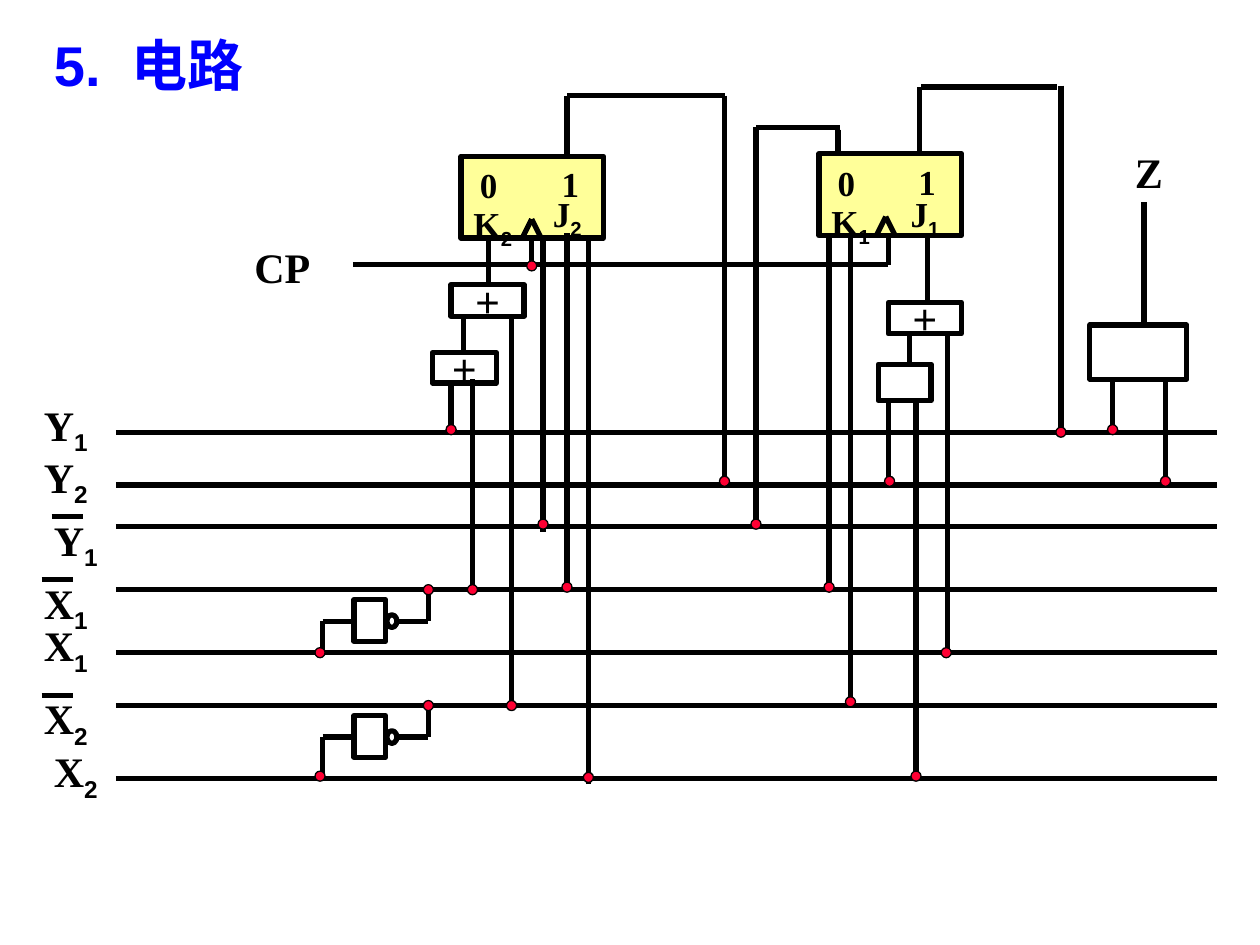
from dataclasses import dataclass

from lxml import etree
from pptx import Presentation
from pptx import util as u
from pptx.dml.color import RGBColor
from pptx.enum import shapes, text
from pptx.oxml import ns

COLORS = {"ink": "000000", "title": "0000FF", "flip_flop": "FFFF99", "dot": "FF0033"}
SERIF, SANS = "Times New Roman", "Arial"
DOT_SIZE = 0.08
BUS_LEFT, BUS_RIGHT = 0.92, 9.66


@dataclass
class Wire:
    x1: float
    y1: float
    x2: float
    y2: float


@dataclass
class Block:
    left: float
    top: float
    width: float
    height: float
    sign: str = ""
    fill: str = ""
    kind: shapes.MSO_SHAPE = shapes.MSO_SHAPE.RECTANGLE
    weight: float = 3


@dataclass
class Label:
    left: float
    top: float
    words: str
    sub: str = ""
    size: int = 24
    barred: bool = False


@dataclass
class FlipFlop:
    left: float
    top: float
    index: str
    clock: float
    one: float
    j_left: float


def color(name: str) -> RGBColor:
    return RGBColor.from_string(COLORS[name])


def add_span(para, words: str, formats: dict, tint: str = "ink", **extras):
    span = para.add_run()
    span.text = words
    for name, value in formats.items():
        setattr(span.font, name, value)
    span.font.color.rgb = color(tint)
    for name, value in extras.items():
        span._r.get_or_add_rPr().set(name, value)


def add_box(page, left: float, top: float, width: float, height: float):
    box = page.shapes.add_textbox(*map(u.Inches, (left, top, width, height)))
    for name, value in {"word_wrap": True, "margin_top": u.Inches(0.07)}.items():
        setattr(box.text_frame, name, value)
    return box.text_frame.paragraphs[0]


def draw_wire(page, wire: Wire):
    ends = map(u.Inches, (wire.x1, wire.y1, wire.x2, wire.y2))
    line = page.shapes.add_connector(shapes.MSO_CONNECTOR.STRAIGHT, *ends)
    line.line.width = u.Pt(3)
    line.line.color.rgb = color("ink")
    etree.SubElement(line._element.spPr, ns.qn("a:effectLst"))


def draw_block(page, block: Block):
    place = map(u.Inches, (block.left, block.top, block.width, block.height))
    shape = page.shapes.add_shape(block.kind, *place)
    shape.shadow.inherit = False
    if block.fill:
        shape.fill.solid()
        shape.fill.fore_color.rgb = color(block.fill)
    else:
        shape.fill.background()
    shape.line.width = u.Pt(block.weight)
    shape.line.color.rgb = color("ink")
    if block.sign:
        frame = shape.text_frame
        for name, value in {"word_wrap": False, "vertical_anchor": text.MSO_ANCHOR.MIDDLE}.items():
            setattr(frame, name, value)
        para = frame.paragraphs[0]
        para.alignment = text.PP_ALIGN.CENTER
        add_span(para, block.sign, {"name": SANS, "size": u.Pt(24)})


def draw_label(page, label: Label):
    height = 0.5 if label.size == 24 else 0.43
    para = add_box(page, label.left, label.top, 0.83, height)
    formats = {"name": SERIF, "size": u.Pt(label.size), "bold": True}
    add_span(para, label.words, formats)
    if label.sub:
        add_span(para, label.sub, formats | {"name": SANS}, baseline="-25000")
    if label.barred:
        left, y = label.left + 0.08, label.top + 0.09
        draw_wire(page, Wire(left, y, left + 0.25, y))


def draw_dot(page, x: float, y: float):
    half = DOT_SIZE / 2
    draw_block(page, Block(x - half, y - half, DOT_SIZE, DOT_SIZE, fill="dot",
                           kind=shapes.MSO_SHAPE.OVAL, weight=0.75))


def draw_flip_flop(page, part: FlipFlop):
    draw_block(page, Block(part.left, part.top, 1.13, 0.65, fill="flip_flop"))
    tip = part.top + 0.5
    for side in (-0.07, 0.07):
        draw_wire(page, Wire(part.clock, tip, part.clock + side, tip + 0.14))
    for label in (
        Label(part.left + 0.05, part.top - 0.01, "0", size=20),
        Label(part.one, part.top - 0.02, "1", size=20),
        Label(part.j_left, 1.46, "J", part.index, 20),
        Label(part.left, part.top + 0.3, "K", part.index, 20),
    ):
        draw_label(page, label)


def draw_inverter(page, y: float, low: float, high: float):
    draw_block(page, Block(2.81, y - 0.17, 0.25, 0.33))
    draw_block(page, Block(3.07, y - 0.05, 0.08, 0.1, kind=shapes.MSO_SHAPE.OVAL))
    for wire in (Wire(3.15, y, 3.4, y), Wire(2.56, y, 2.81, y),
                 Wire(2.56, y, 2.56, low), Wire(3.4, y, 3.4, high)):
        draw_wire(page, wire)
    draw_dot(page, 2.54, low)
    draw_dot(page, 3.4, high)


BUSES = [3.43, 3.85, 4.18, 4.68, 5.18, 5.6, 6.18]
WIRES = [
    Wire(2.8, 2.1, 7.05, 2.1), Wire(7.05, 2.1, 7.05, 1.85), Wire(4.22, 2.14, 4.22, 1.89),
    Wire(4.5, 1.23, 4.5, 0.76), Wire(4.5, 0.76, 5.75, 0.76), Wire(5.75, 0.76, 5.75, 3.8),
    Wire(6.65, 1.22, 6.65, 1.03), Wire(6.67, 1.01, 6, 1.01), Wire(6, 1.01, 6, 4.13),
    Wire(7.3, 1.22, 7.3, 0.69), Wire(7.31, 0.69, 8.39, 0.69), Wire(8.42, 0.68, 8.42, 3.4),
    Wire(4.31, 1.89, 4.31, 4.22), Wire(4.5, 1.85, 4.5, 4.68), Wire(4.67, 1.88, 4.67, 6.22),
    Wire(6.58, 1.85, 6.58, 4.68), Wire(6.75, 1.85, 6.75, 5.6), Wire(7.36, 2.4, 7.36, 1.85),
    Wire(3.88, 2.24, 3.88, 1.89), Wire(3.68, 2.79, 3.68, 2.52), Wire(4.06, 2.51, 4.06, 5.6),
    Wire(3.58, 3.03, 3.58, 3.45), Wire(3.75, 3.01, 3.75, 4.68),
    Wire(7.22, 2.9, 7.22, 2.65), Wire(7.52, 5.17, 7.52, 2.64),
    Wire(7.05, 3.19, 7.05, 3.82), Wire(7.27, 3.18, 7.27, 6.18),
    Wire(8.83, 3.01, 8.83, 3.43), Wire(9.25, 3.01, 9.25, 3.85), Wire(9.08, 2.6, 9.08, 1.6),
]
GATES = [
    Block(3.58, 2.26, 0.58, 0.25, "+"), Block(3.43, 2.8, 0.51, 0.24, "+"),
    Block(7.05, 2.4, 0.58, 0.25, "+"), Block(6.97, 2.89, 0.42, 0.29),
    Block(8.65, 2.58, 0.77, 0.43),
]
FLIP_FLOPS = [
    FlipFlop(3.66, 1.24, "2", 4.22, 4.36, 4.29),
    FlipFlop(6.5, 1.22, "1", 7.03, 7.19, 7.13),
]
LABELS = [
    Label(1.92, 1.85, "CP"), Label(8.91, 1.09, "Z"),
    Label(0.25, 3.1, "Y", "1"), Label(0.25, 3.51, "Y", "2"),
    Label(0.33, 4.01, "Y", "1", barred=True), Label(0.25, 4.51, "X", "1", barred=True),
    Label(0.25, 4.85, "X", "1"), Label(0.25, 5.43, "X", "2", barred=True),
    Label(0.33, 5.85, "X", "2"),
]
DOTS = [
    (4.22, 2.11), (5.75, 3.82), (6, 4.16), (8.42, 3.43), (8.83, 3.41), (9.25, 3.82),
    (4.67, 6.17), (4.5, 4.66), (4.31, 4.16), (6.58, 4.66), (6.75, 5.57), (7.51, 5.18),
    (3.58, 3.41), (3.75, 4.68), (4.06, 5.6), (7.06, 3.82), (7.27, 6.16),
]


def main():
    deck = Presentation()
    deck.slide_width, deck.slide_height = u.Inches(10), u.Inches(7.5)
    page = deck.slides.add_slide(deck.slide_layouts[6])
    title = add_box(page, 0.33, 0.17, 2.58, 0.63)
    formats = {"name": SANS, "size": u.Pt(32), "bold": True}
    add_span(title, "5.", formats, "title")
    add_span(title, " ", formats, "title", spc="885")
    add_span(title, "电路", formats, "title")
    for part in FLIP_FLOPS:
        draw_flip_flop(page, part)
    for y in BUSES:
        draw_wire(page, Wire(BUS_LEFT, y, BUS_RIGHT, y))
    for wire in WIRES:
        draw_wire(page, wire)
    for gate in GATES:
        draw_block(page, gate)
    for label in LABELS:
        draw_label(page, label)
    draw_inverter(page, 4.93, 5.18, 4.68)
    draw_inverter(page, 5.85, 6.16, 5.6)
    for x, y in DOTS:
        draw_dot(page, x, y)
    deck.save("out.pptx")


if __name__ == "__main__":
    main()
